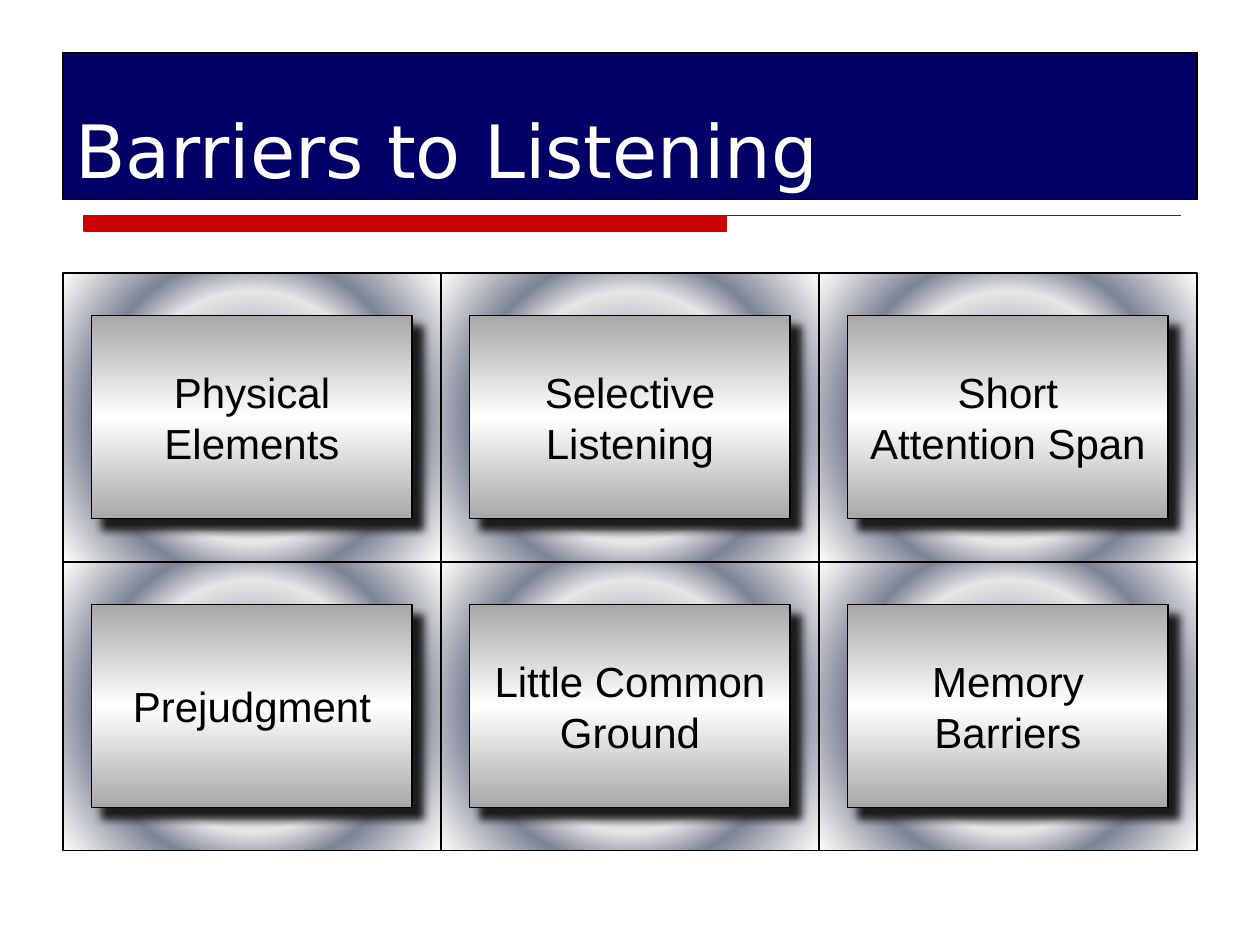
from lxml import etree
from pptx import Presentation
from pptx.dml.color import RGBColor as Color
from pptx.enum.shapes import MSO_CONNECTOR as Connector, MSO_SHAPE as Shape
from pptx.enum.text import MSO_ANCHOR as Anchor, PP_ALIGN as Align
from pptx.oxml import parse_xml
from pptx.oxml.ns import nsdecls, qn
from pptx.util import Pt

TITLE = "Barriers to Listening"
BARRIERS = [
    [["Physical", "Elements"], ["Selective", "Listening"], ["Short", "Attention Span"]],
    [["Prejudgment"], ["Little Common", "Ground"], ["Memory", "Barriers"]],
]
COLORS = {
    "navy": "000066", "red": "CC0000", "white": "FFFFFF", "black": "000000",
    "silver": "E6E6E6", "slate": "7D8496", "gray": "A8A8A8", "shadow": "1C1C1C",
    "rule": "333333",
}
PANEL_STOPS = [(0, "silver"), (15, "slate"), (53, "silver"),
               (68, "slate"), (93, "silver"), (100, "white")]
CARD_STOPS = [(0, "gray"), (50, "white"), (100, "gray")]
RADIAL = ('<a:path path="circle"><a:fillToRect l="50000" t="50000" '
          'r="50000" b="50000"/></a:path>')
VERTICAL = '<a:lin ang="5400000" scaled="0"/>'
TITLE_FONT = {"name": "DejaVu Sans", "size": Pt(42)}
CARD_FONT = {"name": "Arial", "size": Pt(24)}
GRID_LEFT, GRID_TOP = 36, 156
PANEL_WIDTH, PANEL_HEIGHT = 216, 165
CARD_WIDTH, CARD_HEIGHT = 183, 116


def color(name):
    return Color.from_string(COLORS[name])


def add_box(slide, left, top, width, height, line, line_width):
    box = slide.shapes.add_shape(Shape.RECTANGLE, Pt(left), Pt(top), Pt(width), Pt(height))
    box.shadow.inherit = False
    box.line.color.rgb = color(line)
    box.line.width = Pt(line_width)
    return box


def fill_solid(box, name):
    box.fill.solid()
    box.fill.fore_color.rgb = color(name)


def fill_gradient(box, stops, direction):
    box.fill.background()
    marks = "".join(
        f'<a:gs pos="{place * 1000}"><a:srgbClr val="{COLORS[name]}"/></a:gs>'
        for place, name in stops)
    gradient = parse_xml(
        f'<a:gradFill {nsdecls("a")} rotWithShape="1"><a:gsLst>{marks}</a:gsLst>'
        f'{direction}</a:gradFill>')
    properties = box.element.spPr
    properties.replace(properties.find(qn("a:noFill")), gradient)


def add_shadow(box):
    effects = box.element.spPr.find(qn("a:effectLst"))
    effects.append(parse_xml(
        f'<a:outerShdw {nsdecls("a")} blurRad="{Pt(5)}" dist="{Pt(8.5)}" dir="2700000" '
        f'algn="ctr" rotWithShape="0"><a:srgbClr val="{COLORS["shadow"]}"/></a:outerShdw>'))


def write(box, lines, font, name, align, anchor):
    frame = box.text_frame
    frame.word_wrap = True
    frame.vertical_anchor = anchor
    for index, line in enumerate(lines):
        para = frame.add_paragraph() if index else frame.paragraphs[0]
        para.alignment = align
        span = para.add_run()
        span.text = line
        span.font.color.rgb = color(name)
        for key, value in font.items():
            setattr(span.font, key, value)


def add_header(slide):
    bar = add_box(slide, 48, 123, 367, 9, "red", 0.75)
    fill_solid(bar, "red")
    rule = slide.shapes.add_connector(Connector.STRAIGHT, Pt(415), Pt(123), Pt(675), Pt(123))
    rule.line.color.rgb = color("rule")
    rule.line.width = Pt(0.75)
    etree.SubElement(rule.element.spPr, qn("a:effectLst"))
    title = add_box(slide, 36, 30, 648, 84, "black", 1)
    fill_solid(title, "navy")
    write(title, [TITLE], TITLE_FONT, "white", Align.LEFT, Anchor.BOTTOM)


def add_grid(slide):
    cells = [(GRID_LEFT + column * PANEL_WIDTH, GRID_TOP + row * PANEL_HEIGHT, lines)
             for row, group in enumerate(BARRIERS)
             for column, lines in enumerate(group)]
    for left, top, _ in cells:
        panel = add_box(slide, left, top, PANEL_WIDTH, PANEL_HEIGHT, "black", 1)
        fill_gradient(panel, PANEL_STOPS, RADIAL)
    for left, top, lines in cells:
        card = add_box(slide, left + (PANEL_WIDTH - CARD_WIDTH) / 2,
                       top + (PANEL_HEIGHT - CARD_HEIGHT) / 2,
                       CARD_WIDTH, CARD_HEIGHT, "black", 0.75)
        fill_gradient(card, CARD_STOPS, VERTICAL)
        add_shadow(card)
        write(card, lines, CARD_FONT, "black", Align.CENTER, Anchor.MIDDLE)


def main():
    deck = Presentation()
    deck.slide_width, deck.slide_height = Pt(720), Pt(540)
    page = deck.slides.add_slide(deck.slide_layouts[6])
    add_header(page)
    add_grid(page)
    deck.save("out.pptx")


if __name__ == "__main__":
    main()
